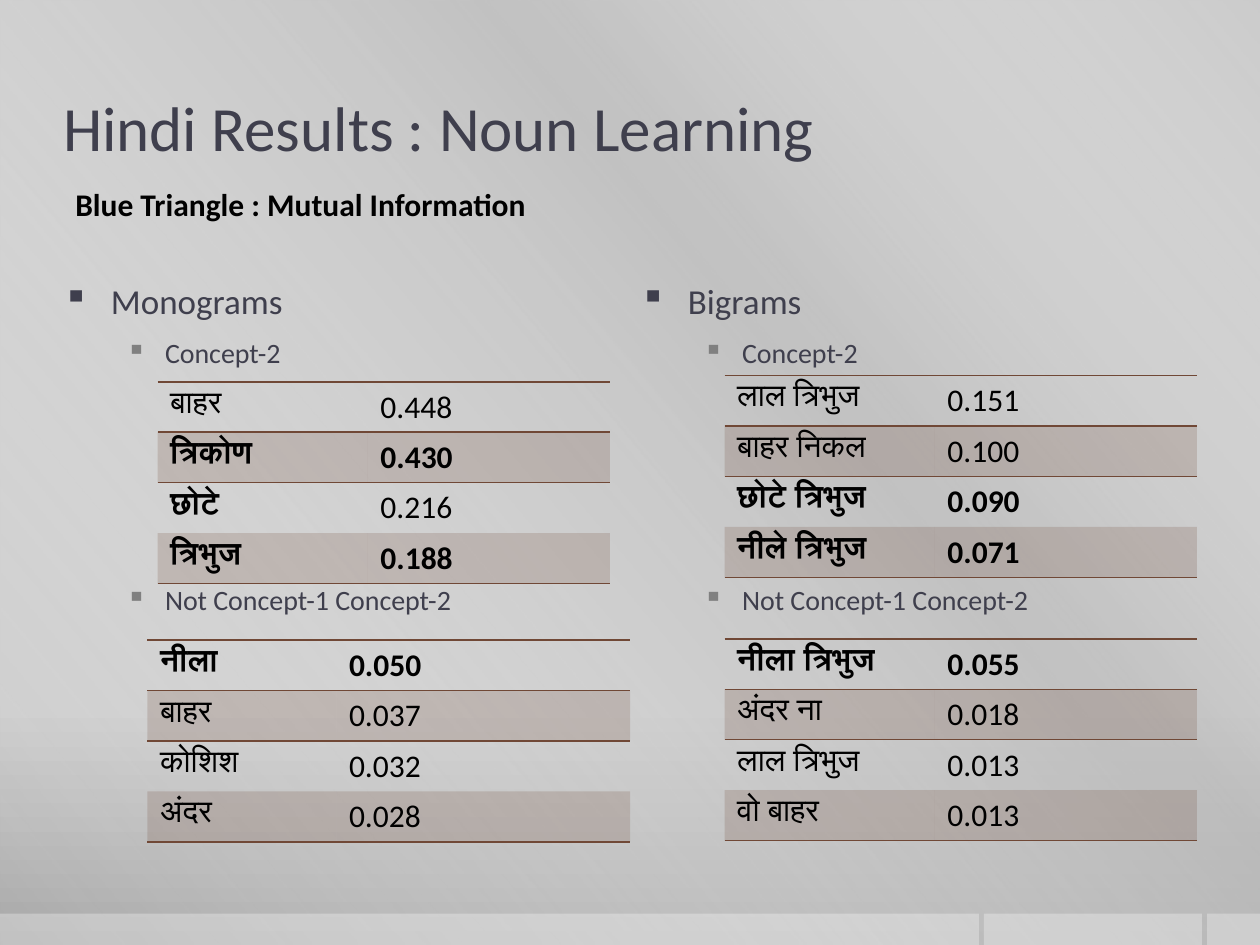
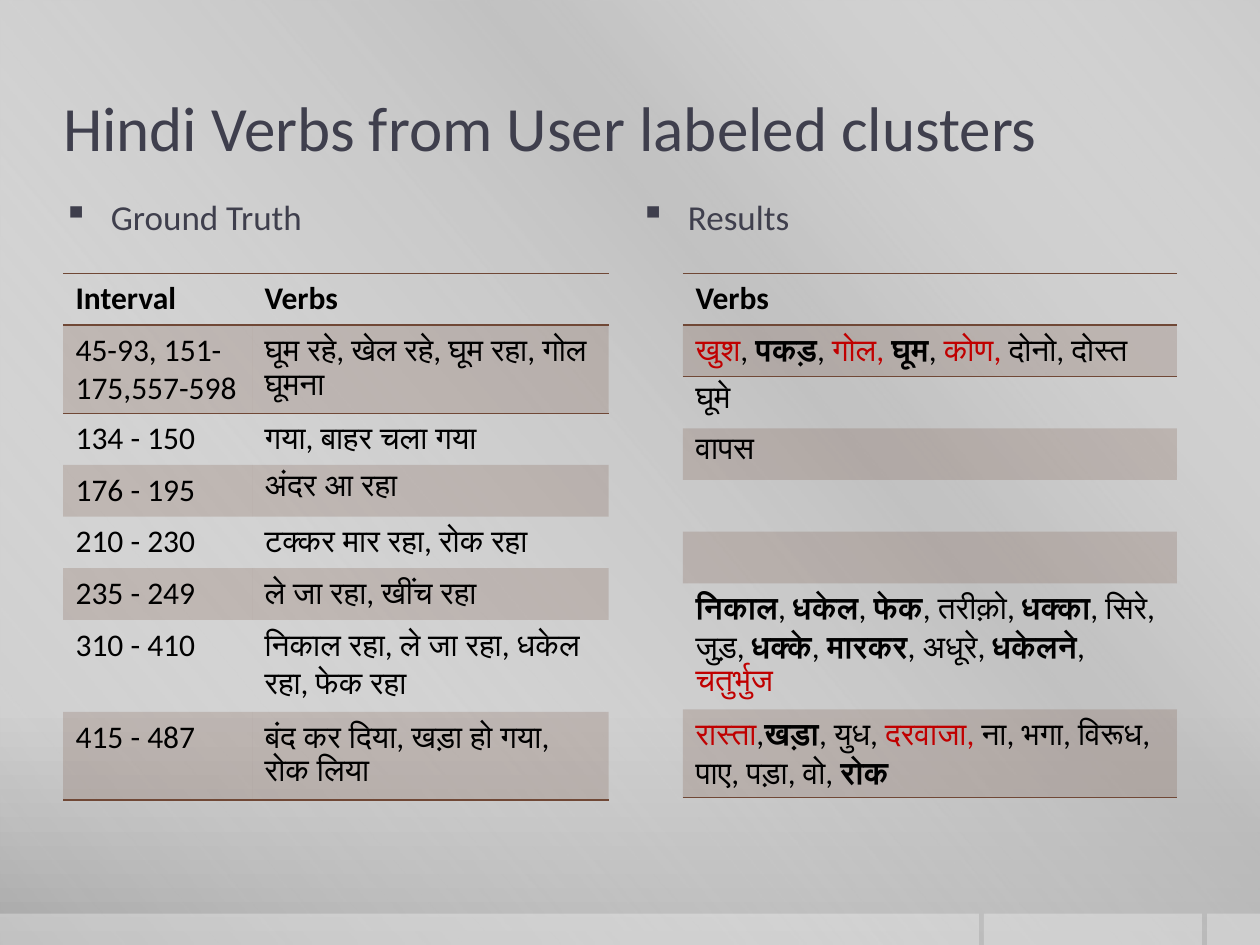
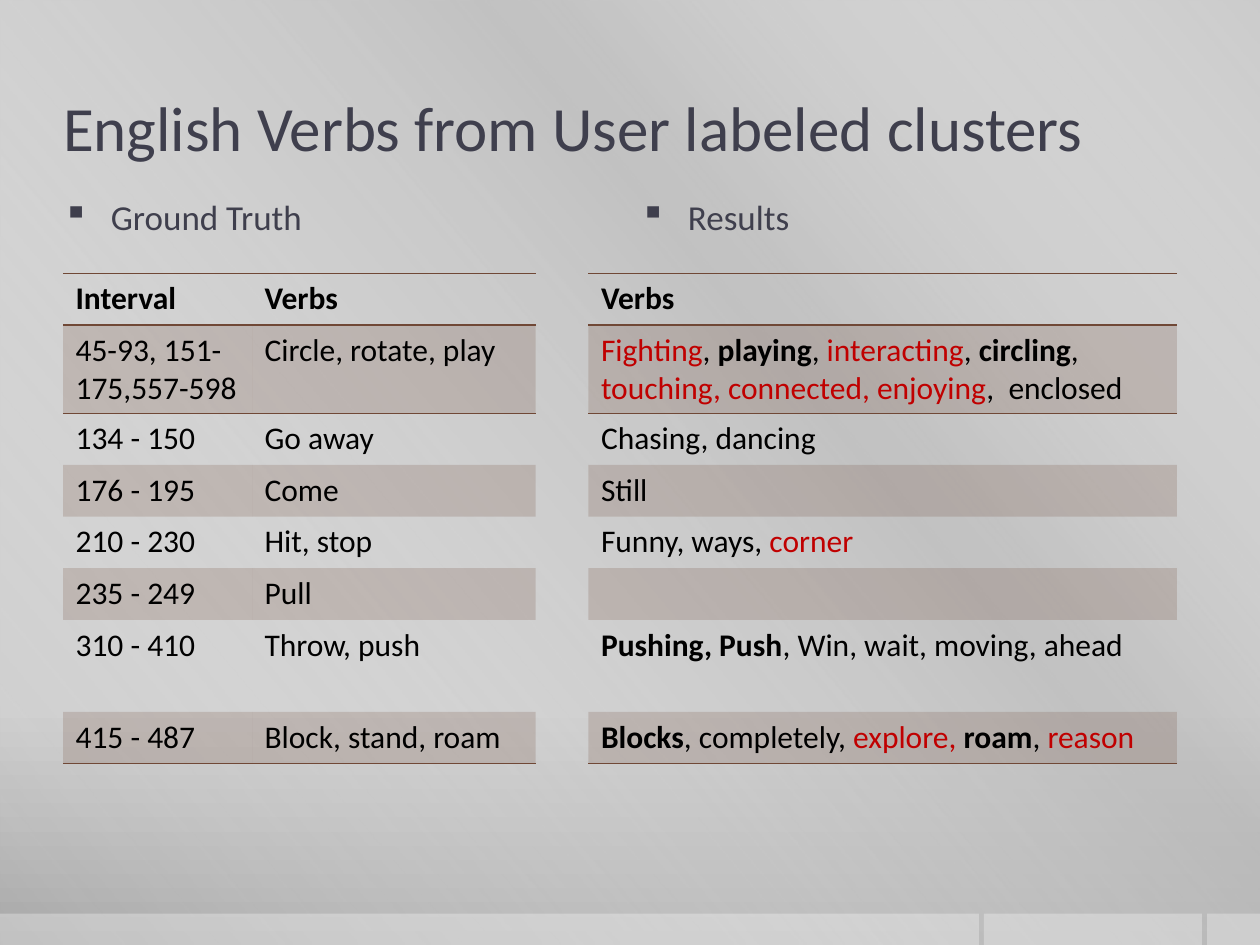
from lxml.etree import SubElement
from pptx import Presentation
from pptx.dml.color import RGBColor
from pptx.enum.shapes import MSO_SHAPE
from pptx.enum.text import MSO_ANCHOR, PP_ALIGN
from pptx.oxml.ns import qn
from pptx.util import Inches, Pt

FONT = "Calibri"
INK, BLACK, RED, BROWN = "3F3F4D", "000000", "C00000", "704836"
GREY, WHITE = "808080", "FFFFFF"
BACKDROP = [(0, "CBCBCB", 100), (76, "C8C8C8", 100), (100, "A7A7A7", 100)]
SHEEN = [(0, WHITE, 0), (34, "BFBFBF", 61), (38, "BFBFBF", 76), (100, WHITE, 0)]
BAND_EDGES, BAND_GAP = [0, 7.81, 9.58, 10.04], 0.04
LEFT, RIGHT = 0.5, 5.08
SCORE_ROWS, VERB_ROWS = [0.4] * 4, [0.41] * 6 + [0.73, 0.41]
INTERVALS = ["45-93, 151-175,557-598", "134 - 150", "176 - 195", "210 - 230",
             "235 - 249", "310 - 410", "415 - 487"]
CONCEPTS = ["Concept-2", "Not Concept-1 Concept-2"]


def truth(verbs):
    """Pair each interval with its verbs, below a header row."""
    return [("*Interval*", "*Verbs*"), *zip(INTERVALS, verbs)]


def results(verbs):
    """Put a header above a single column of verbs."""
    return [("*Verbs*",), *((text,) for text in verbs)]


# In cell text, *stars* mark bold and ~tildes~ mark red.
PAGES = [
    {"title": "Hindi Results : Noun Learning",
     "subtitle": "Blue Triangle : Mutual Information",
     "lists": [(LEFT, 2.17, "Monograms", CONCEPTS), (RIGHT, 2.17, "Bigrams", CONCEPTS)],
     "tables": [
         (1.25, 3.03, [1.67, 1.92], SCORE_ROWS,
          [("बाहर", "0.448"), ("*त्रिकोण*", "*0.430*"),
           ("*छोटे*", "0.216"), ("*त्रिभुज*", "*0.188*")]),
         (5.75, 2.98, [1.67, 2.08], SCORE_ROWS,
          [("लाल त्रिभुज", "0.151"), ("बाहर निकल", "0.100"),
           ("*छोटे त्रिभुज*", "*0.090*"), ("*नीले त्रिभुज*", "*0.071*")]),
         (1.17, 5.08, [1.5, 2.33], SCORE_ROWS,
          [("*नीला*", "*0.050*"), ("बाहर", "0.037"), ("कोशिश", "0.032"), ("अंदर", "0.028")]),
         (5.75, 5.07, [1.67, 2.08], SCORE_ROWS,
          [("*नीला त्रिभुज*", "*0.055*"), ("अंदर ना", "0.018"),
           ("लाल त्रिभुज", "0.013"), ("वो बाहर", "0.013")])]},
    {"title": "Hindi Verbs from User labeled clusters",
     "lists": [(LEFT, 1.5, "Ground Truth", []), (RIGHT, 1.5, "Results", [])],
     "tables": [
         (0.5, 2.17, [1.5, 2.83], VERB_ROWS, truth([
             "घूम रहे, खेल रहे, घूम रहा, गोल घूमना", "गया, बाहर चला गया", "अंदर आ रहा",
             "टक्कर मार रहा, रोक रहा", "ले जा रहा, खींच रहा",
             "निकाल रहा, ले जा रहा, धकेल रहा, फेक रहा",
             "बंद कर दिया, खड़ा हो गया, रोक लिया"])),
         (5.42, 2.17, [3.92], VERB_ROWS, results([
             "~खुश~, *पकड़*, ~गोल, ~*घूम*, ~कोण,~ दोनो, दोस्त", "घूमे", "वापस", "", "",
             "*निकाल*, *धकेल*, *फेक*, तरीक़ो, *धक्का*, सिरे, जुड़, *धक्के*, *मारकर*, "
             "अधूरे, *धकेलने*, ~चतुर्भुज~",
             "~रास्ता~,*खड़ा*, युध, ~दरवाजा,~ ना, भगा, विरूध, पाए, पड़ा, वो, *रोक*"]))]},
    {"title": "English Verbs from User labeled clusters",
     "lists": [(LEFT, 1.5, "Ground Truth", []), (RIGHT, 1.5, "Results", [])],
     "tables": [
         (0.5, 2.17, [1.5, 2.25], VERB_ROWS, truth([
             "Circle, rotate, play", "Go away", "Come", "Hit, stop", "Pull",
             "Throw, push", "Block, stand, roam"])),
         (4.67, 2.17, [4.67], VERB_ROWS, results([
             "~Fighting~, *playing*,~ interacting~, *circling*, "
             "~touching, connected, enjoying~,  enclosed",
             "Chasing, dancing", "Still", "Funny, ways, ~corner~", "",
             "*Pushing, Push*, Win, wait, moving, ahead",
             "*Blocks*, completely, ~explore, ~*roam*, ~reason~"]))]},
]


def color(value):
    """Turn a hex string into a colour."""
    return RGBColor.from_string(value)


def set_font(font, size, shade, bold=None):
    """Apply the deck font to a paragraph."""
    font.name, font.size, font.bold = FONT, Pt(size), bold
    font.color.rgb = color(shade)


def set_fill(fill, element, shade, alpha):
    """Fill with a see-through colour."""
    fill.solid()
    fill.fore_color.rgb = color(shade)
    tint = element.find(".//" + qn("a:solidFill")).find(qn("a:srgbClr"))
    SubElement(tint, qn("a:alpha"), val=str(alpha * 1000))


def set_gradient(fill, element, stops, angle):
    """Fill with a linear gradient of several stops."""
    fill.solid()
    solid = element.find(".//" + qn("a:solidFill"))
    gradient = SubElement(solid.getparent(), qn("a:gradFill"), rotWithShape="1")
    stop_list = SubElement(gradient, qn("a:gsLst"))
    for position, shade, alpha in stops:
        stop = SubElement(stop_list, qn("a:gs"), pos=str(position * 1000))
        tint = SubElement(stop, qn("a:srgbClr"), val=shade)
        SubElement(tint, qn("a:alpha"), val=str(alpha * 1000))
    SubElement(gradient, qn("a:lin"), ang=str(angle * 60000), scaled="0")
    solid.getparent().replace(solid, gradient)


def add_backdrop(deck, page):
    """Give the master its background, sheen and bottom bands."""
    master = deck.slide_master
    set_gradient(master.background.fill, master.element, BACKDROP, 90)
    places = [(0, 0, 10, 7.5)]
    for start, end in zip(BAND_EDGES, BAND_EDGES[1:]):
        places.append((start, 7.25, end - start - BAND_GAP, 0.25))
    for index, place in enumerate(places):
        shape = page.shapes.add_shape(MSO_SHAPE.RECTANGLE, *map(Inches, place))
        shape.shadow.inherit = False
        shape.line.fill.background()
        if index == 0:
            set_gradient(shape.fill, shape.element.spPr, SHEEN, 140)
        else:
            set_fill(shape.fill, shape.element.spPr, WHITE, 30)
        shape.element.nvSpPr.cNvPr.set("id", str(100 + index))
        master.shapes.element.insert(2 + index, shape.element)


def add_text_box(page, left, top, width, height):
    """Add a wrapping text box."""
    frame = page.shapes.add_textbox(*map(Inches, (left, top, width, height))).text_frame
    frame.word_wrap = True
    return frame


def format_bullet(para, margin, hang, shade):
    """Give a paragraph a hanging square bullet."""
    properties = para._p.get_or_add_pPr()
    properties.set("marL", str(Inches(margin)))
    properties.set("indent", str(-Inches(hang)))
    para.space_after = Pt(6)
    SubElement(SubElement(properties, qn("a:buClr")), qn("a:srgbClr"), val=shade)
    SubElement(properties, qn("a:buChar"), char="▪")


def add_list(page, left, top, heading, items):
    """Add a bulleted heading with its sub-items spaced around the tables."""
    frame = add_text_box(page, left, top, 4.42, 4.5)
    frame.margin_left = frame.margin_right = 0
    para = frame.paragraphs[0]
    para.text = heading
    format_bullet(para, 0.38, 0.38, INK)
    set_font(para.font, 20, INK)
    for item, gap in zip(items, (2, 116)):
        para = frame.add_paragraph()
        para.text = item
        para.space_before = Pt(gap)
        format_bullet(para, 0.81, 0.31, GREY)
        set_font(para.font, 16, INK)


def write_marked(para, text):
    """Write text whose marks turn on bold or red."""
    set_font(para.font, 18, BLACK)
    for bold_index, piece in enumerate(text.split("*")):
        for red_index, part in enumerate(piece.split("~")):
            if part:
                span = para.add_run()
                span.text = part
                if bold_index % 2:
                    span.font.bold = True
                if red_index % 2:
                    span.font.color.rgb = color(RED)


def add_rule(cell, side):
    """Draw a thin line on one side of a cell."""
    line = SubElement(cell._tc.get_or_add_tcPr(), qn("a:" + side), w=str(Pt(1)))
    SubElement(SubElement(line, qn("a:solidFill")), qn("a:srgbClr"), val=BROWN)
    cell._tc.tcPr.insert(0, line)


def add_grid(page, left, top, widths, heights, rows):
    """Add a banded table ruled above, under its first row and below."""
    frame = page.shapes.add_table(len(rows), len(widths), Inches(left), Inches(top),
                                  Inches(sum(widths)), Inches(sum(heights)))
    frame.element.find(".//" + qn("a:tableStyleId")).text = "{2D5ABB26-0587-4C30-8999-92F81FD0307C}"
    table = frame.table
    table.first_row = table.horz_banding = False
    for column, width in zip(table.columns, widths):
        column.width = Inches(width)
    for row_index, (row, height, texts) in enumerate(zip(table.rows, heights, rows)):
        row.height = Inches(height)
        for cell, text in zip(row.cells, texts):
            write_marked(cell.text_frame.paragraphs[0], text)
            if row_index % 2:
                set_fill(cell.fill, cell._tc.get_or_add_tcPr(), BROWN, 20)
            else:
                cell.fill.background()
            if row_index in (0, len(rows) - 1):
                add_rule(cell, "lnB")
            if row_index < 2:
                add_rule(cell, "lnT")


def add_page(deck, content):
    """Build one slide from its content."""
    page = deck.slides.add_slide(deck.slide_layouts[5])
    title = page.shapes.title
    title.left, title.top, title.width, title.height = map(Inches, (0.5, 0.5, 9, 1))
    frame = title.text_frame
    frame.text = content["title"]
    frame.margin_left = frame.margin_right = 0
    frame.vertical_anchor = MSO_ANCHOR.MIDDLE
    frame.paragraphs[0].alignment = PP_ALIGN.LEFT
    set_font(frame.paragraphs[0].font, 36, INK)
    for entry in content["lists"]:
        add_list(page, *entry)
    if "subtitle" in content:
        para = add_text_box(page, 0.5, 1.42, 5.5, 0.4).paragraphs[0]
        para.text = content["subtitle"]
        set_font(para.font, 18, BLACK, True)
    for entry in content["tables"]:
        add_grid(page, *entry)
    return page


def main():
    """Build and save the deck."""
    deck = Presentation()
    deck.slide_width, deck.slide_height = Inches(10), Inches(7.5)
    pages = [add_page(deck, content) for content in PAGES]
    add_backdrop(deck, pages[0])
    deck.save("out.pptx")


if __name__ == "__main__":
    main()
